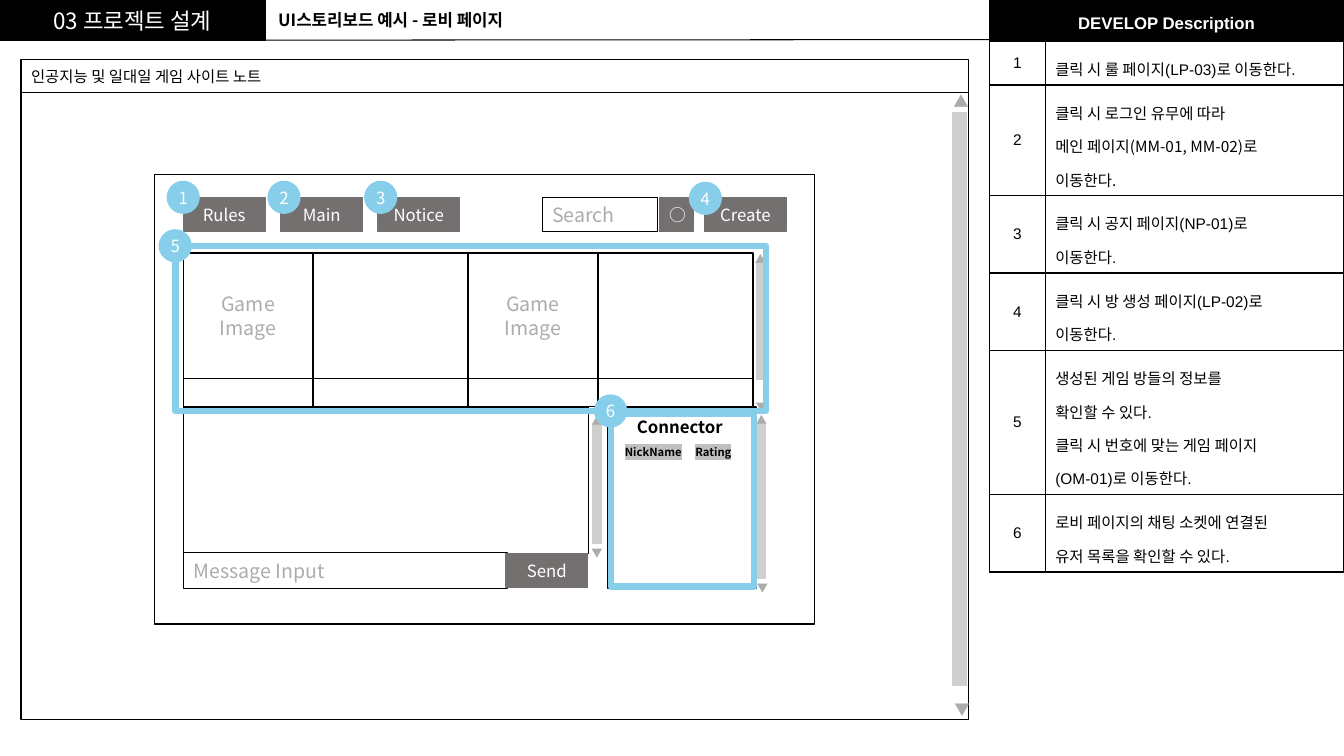
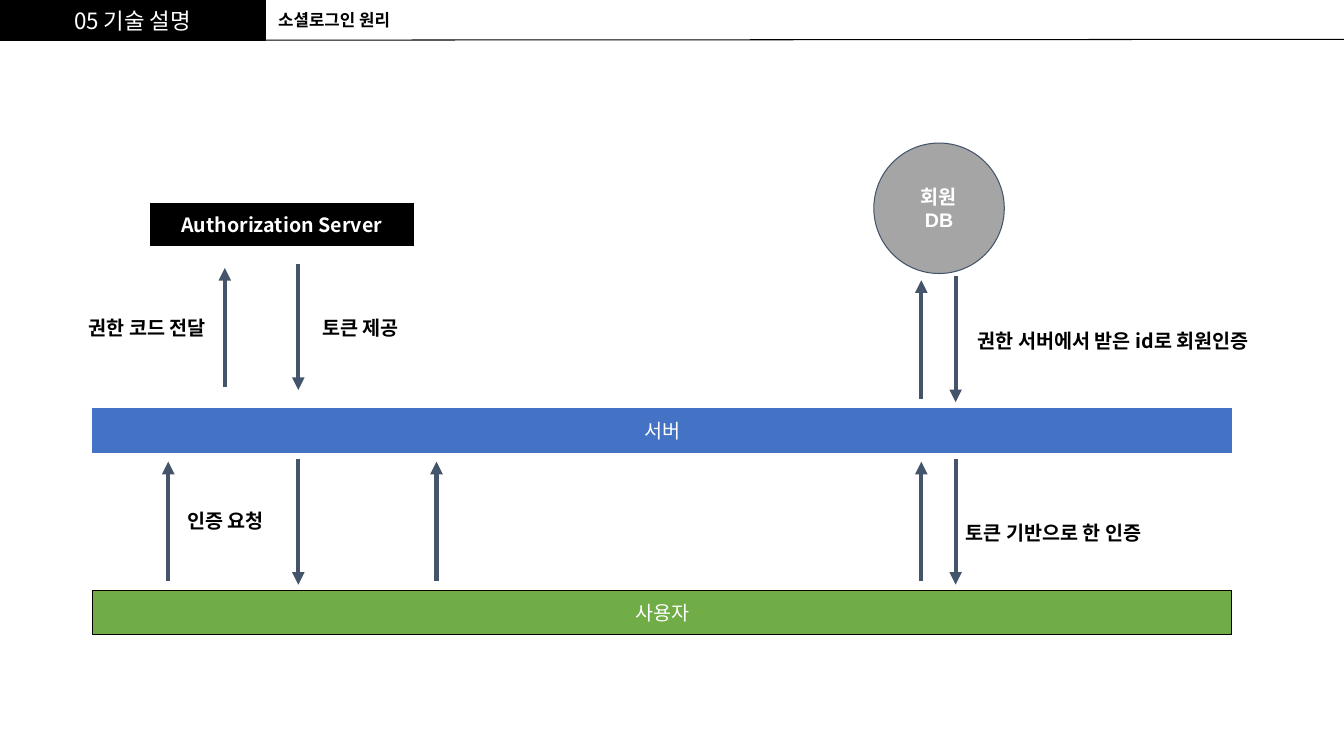
"""Build two slides: a lobby page storyboard and a social login flow."""
from dataclasses import dataclass
from typing import Any

from lxml import etree
from pptx import Presentation
from pptx.dml.color import RGBColor
from pptx.enum.shapes import MSO_CONNECTOR, MSO_SHAPE
from pptx.enum.text import MSO_ANCHOR, MSO_AUTO_SIZE, PP_ALIGN
from pptx.oxml.ns import qn
from pptx.util import Pt

RECT, OVAL, DOT = MSO_SHAPE.RECTANGLE, MSO_SHAPE.OVAL, MSO_SHAPE.FLOWCHART_CONNECTOR
LINE = MSO_CONNECTOR.STRAIGHT
LEFT, MID = PP_ALIGN.LEFT, PP_ALIGN.CENTER
TOP, CORE = MSO_ANCHOR.TOP, MSO_ANCHOR.MIDDLE
FIXED = MSO_AUTO_SIZE.NONE
NOTO, ARIAL = "Noto Sans CJK KR", "Arial"
COLORS = {
    "black": "000000", "white": "FFFFFF", "hint": "AEABAB", "track": "D0CECE",
    "button": "757070", "sky": "87CEEB", "mark": "C0C0C0", "green": "70AD47",
    "blue": "4472C4", "gray": "A5A5A5", "slate": "44546A",
}


@dataclass
class Style:
    size: float = 12
    color: str = "black"
    bold: bool = False
    align: Any = LEFT
    font: str = NOTO
    mark: str = ""
    space: float = 1.0


@dataclass
class Box:
    x: float
    y: float
    w: float
    h: float
    text: str = ""
    style: Style | None = None
    fill: str = "white"
    edge: str = "black"
    width: float = 1
    kind: Any = RECT
    pad: float = 7.2


@dataclass
class Label:
    x: float
    y: float
    w: float
    text: str
    style: Style
    pad: float = 3.6


@dataclass
class Scroll:
    x: float
    y: float
    w: float
    h: float
    size: float
    up: tuple[float, float]
    down: tuple[float, float]


@dataclass
class Arrow:
    x: float
    start: float
    end: float


@dataclass
class Row:
    lines: tuple[str, ...]
    font: str = ARIAL


HINT = Style(14, "hint")
IMAGE = Style(14, "hint", align=MID)
PRESS = Style(12, "white", align=MID)
HEAD = Style(16, "white", align=MID)
TITLE = Style(12, bold=True)
TAG = Style(8, bold=True, mark="mark")
NOTE = Style(14, bold=True)
BAND = Style(14, "white", align=MID)
STRONG = Style(14, "white", True, MID)
BADGE = 22.7

ROWS = (
    Row(("클릭 시 룰 페이지(LP-03)로 이동한다.",)),
    Row(("클릭 시 로그인 유무에 따라", "메인 페이지(MM-01, MM-02)로", "이동한다."), NOTO),
    Row(("클릭 시 공지 페이지(NP-01)로", "이동한다.")),
    Row(("클릭 시 방 생성 페이지(LP-02)로", "이동한다.")),
    Row(("생성된 게임 방들의 정보를", "확인할 수 있다.",
         "클릭 시 번호에 맞는 게임 페이지", "(OM-01)로 이동한다.")),
    Row(("로비 페이지의 채팅 소켓에 연결된", "유저 목록을 확인할 수 있다.")),
)


def paint(name: str) -> RGBColor:
    return RGBColor.from_string(COLORS[name])


def write(frame: Any, text: str, style: Style) -> None:
    for i, line in enumerate(text.split("\n")):
        para = frame.paragraphs[0] if i == 0 else frame.add_paragraph()
        para.alignment, para.line_spacing = style.align, style.space
        run = para.add_run()
        run.text = line
        font = run.font
        font.size, font.bold, font.name = Pt(style.size), style.bold, style.font
        font.color.rgb = paint(style.color)
        props = run._r.get_or_add_rPr()
        latin = props.find(qn("a:latin"))
        if style.mark:
            mark = etree.Element(qn("a:highlight"))
            etree.SubElement(mark, qn("a:srgbClr"), val=COLORS[style.mark])
            latin.addprevious(mark)
        latin.addnext(etree.Element(qn("a:ea"), typeface=NOTO))


def setup(frame: Any, pad: float, side: float, anchor: Any) -> None:
    frame.word_wrap, frame.auto_size = True, FIXED
    frame.vertical_anchor = anchor
    frame.margin_left = frame.margin_right = Pt(side)
    frame.margin_top = frame.margin_bottom = Pt(pad)


def draw(slide: Any, box: Box) -> None:
    shape = slide.shapes.add_shape(box.kind, Pt(box.x), Pt(box.y), Pt(box.w), Pt(box.h))
    shape.shadow.inherit = False
    if box.fill:
        shape.fill.solid()
        shape.fill.fore_color.rgb = paint(box.fill)
    else:
        shape.fill.background()
    shape.line.color.rgb = paint(box.edge)
    shape.line.width = Pt(box.width)
    if box.style:
        setup(shape.text_frame, min(box.pad, 3.6), box.pad, CORE)
        write(shape.text_frame, box.text, box.style)


def label(slide: Any, item: Label) -> None:
    high = item.style.size * 1.45 + 2 * item.pad
    frame = slide.shapes.add_textbox(Pt(item.x), Pt(item.y), Pt(item.w), Pt(high)).text_frame
    setup(frame, item.pad, 7.2, TOP)
    write(frame, item.text, item.style)


def scroll(slide: Any, bar: Scroll) -> None:
    draw(slide, Box(bar.x, bar.y, bar.w, bar.h, fill="track", edge="white"))
    tip = Style(bar.size, "hint")
    label(slide, Label(bar.x + bar.up[0], bar.y + bar.up[1], 21.6, "▲", tip))
    label(slide, Label(bar.x + bar.down[0], bar.y + bar.h + bar.down[1], 21.6, "▼", tip))


def link(slide: Any, x1: float, y1: float, x2: float, y2: float,
         color: str, width: float, tip: bool = False) -> None:
    line = slide.shapes.add_connector(LINE, Pt(x1), Pt(y1), Pt(x2), Pt(y2))
    line.line.color.rgb = paint(color)
    line.line.width = Pt(width)
    if tip:
        etree.SubElement(line.line._get_or_add_ln(), qn("a:tailEnd"), type="triangle")
    etree.SubElement(line.element.spPr, qn("a:effectLst"))


def start(deck: Any, part: str, name: str) -> Any:
    slide = deck.slides.add_slide(deck.slide_layouts[5])
    title = slide.shapes.title
    title.left, title.top, title.width, title.height = Pt(191.5), Pt(3.6), Pt(216), Pt(21.6)
    setup(title.text_frame, 3.6, 7.2, TOP)
    write(title.text_frame, name, TITLE)
    draw(slide, Box(0, 0, 189.4, 28.8, part, HEAD, "black"))
    link(slide, 0, 28.8, 960, 28.1, "black", 0.75)
    return slide


def fill(cell: Any, text: str, style: Style, color: str, anchor: Any) -> None:
    props = cell._tc.get_or_add_tcPr()
    for side in ("lnL", "lnR", "lnT", "lnB"):
        edge = etree.SubElement(props, qn(f"a:{side}"), w=str(Pt(1)))
        ink = etree.SubElement(edge, qn("a:solidFill"))
        etree.SubElement(ink, qn("a:srgbClr"), val=COLORS["black"])
    cell.fill.solid()
    cell.fill.fore_color.rgb = paint(color)
    cell.vertical_anchor = anchor
    cell.margin_left = cell.margin_right = Pt(7.2)
    cell.margin_top = cell.margin_bottom = Pt(3.6)
    if text:
        write(cell.text_frame, text, style)


def guide(slide: Any) -> None:
    highs = [29.5] + [24 * len(row.lines) + 7.2 for row in ROWS]
    table = slide.shapes.add_table(len(highs), 2, Pt(707), Pt(0), Pt(252.7), Pt(sum(highs))).table
    table.horz_banding = False
    for col, wide in zip(table.columns, (39.6, 213.1)):
        col.width = Pt(wide)
    for row, high in zip(table.rows, highs):
        row.height = Pt(high)
    head = Style(12, "white", True, MID, ARIAL, space=1.5)
    fill(table.cell(0, 0), "DEVELOP Description", head, "black", TOP)
    fill(table.cell(0, 1), "", head, "black", TOP)
    table.cell(0, 0).merge(table.cell(0, 1))
    for i, row in enumerate(ROWS, 1):
        fill(table.cell(i, 0), str(i), Style(11, align=MID, font=ARIAL), "white", CORE)
        body = Style(11, font=row.font, space=1.5)
        fill(table.cell(i, 1), "\n".join(row.lines), body, "white", TOP)


def lobby(deck: Any) -> None:
    slide = start(deck, "03 프로젝트 설계", "UI스토리보드 예시 - 로비 페이지")
    boxes = [Box(15.1, 65.5, 676.8, 448.6), Box(110.2, 124.6, 471.6, 321.1)]
    for x in (131, 334.4):
        for y, high, text in ((180.7, 89.5, "Game\nImage"), (270.2, 20.4, "")):
            boxes += [Box(x, y, 92.6, high, text, IMAGE if text else None),
                      Box(x + 92.6, y, 110.8, high)]
    boxes += [
        Box(131, 290.8, 289.4, 104.4),
        Box(434.2, 290.8, 105.8, 129.6),
        Box(15.1, 42.5, 676.8, 23.8, "인공지능 및 일대일 게임 사이트 노트", Style(11)),
        Box(131, 394.6, 231.1, 25.9, "Message Input", HINT),
        Box(387.4, 141.1, 82.1, 24.5, "Search", HINT),
    ]
    for x, y, wide, text in ((131, 141.1, 58.3, "Rules"), (200.7, 141.1, 58.3, "Main"),
                             (270, 141.1, 58.3, "Notice"), (503.3, 141.1, 58.3, "Create"),
                             (470.9, 141.1, 24.5, "○"), (361.4, 395.3, 58.3, "Send")):
        boxes.append(Box(x, y, wide, 24.5, text, PRESS, "button", "button"))
    for box in boxes:
        draw(slide, box)

    for bar in (Scroll(679.7, 79.2, 11.5, 411.1, 11, (-5.8, -17.3), (-5, 6.5)),
                Scroll(539.3, 186.5, 7.9, 85.7, 8, (-7.2, -10.1), (-6.5, 10.1)),
                Scroll(422.6, 303.1, 7.9, 85.7, 8, (-7.2, -10.8), (-7.2, -2.2)),
                Scroll(540, 302.4, 7.9, 111.6, 8, (-7.2, -10.8), (-6.5, -2.2))):
        scroll(slide, bar)
    for item in (Label(447.8, 293.8, 77.8, "Connector", TITLE),
                 Label(439.2, 314.6, 77.8, "NickName", TAG),
                 Label(489.6, 314.6, 77.8, "Rating", TAG)):
        label(slide, item)
    for x, y, wide, high in ((125.3, 175.7, 421.9, 118.1), (436.3, 295.9, 102.2, 123.1)):
        draw(slide, Box(x, y, wide, high, fill="", edge="sky", width=4.5))
    spots = ((119.5, 129.6), (191.5, 129.6), (260.6, 129.6),
             (492.5, 130.3), (113.8, 164.2), (424.8, 282.2))
    for i, (x, y) in enumerate(spots, 1):
        draw(slide, Box(x, y, BADGE, BADGE, str(i), PRESS, "sky", "sky", kind=DOT, pad=0))
    guide(slide)


def login(deck: Any) -> None:
    slide = start(deck, "05 기술 설명", "소셜로그인 원리")
    for box in (
        Box(106.6, 144.7, 189.4, 31.7, "Authorization Server", STRONG, "black", "white", 0.75),
        Box(66.2, 421.9, 813.6, 31.7, "사용자", BAND, "green", "black", 0.75),
        Box(66.2, 291.6, 813.6, 31.7, "서버", BAND, "blue", "blue", 0.75),
        Box(624.2, 102.2, 93.2, 93.2, "회원\nDB", Style(14, "white", True, MID, ARIAL),
            "gray", "slate", 0.75, OVAL),
    ):
        draw(slide, box)
    flows = [Arrow(x, 414.7, 329.8) for x in (120.2, 311.8, 658.1)]
    flows += [Arrow(x, 327.6, 417.6) for x in (213.1, 682.6)]
    flows += [Arrow(160.6, 276.5, 191.5), Arrow(213.1, 188.6, 278.6),
              Arrow(658.1, 285.1, 200.2), Arrow(682.6, 197.3, 287.3)]
    for flow in flows:
        link(slide, flow.x, flow.start, flow.x, flow.end, "slate", 3, True)
    for x, y, wide, text in ((56.2, 218.2, 127.4, "권한 코드 전달"),
                             (691.2, 227.5, 241.2, "권한 서버에서 받은 id로 회원인증"),
                             (682.6, 365, 196.6, "토큰 기반으로 한 인증"),
                             (126.7, 356.4, 127.4, "인증 요청"),
                             (223.2, 218.2, 127.4, "토큰 제공")):
        label(slide, Label(x, y, wide, text, NOTE, 7.2))


def main() -> None:
    deck = Presentation()
    deck.slide_width, deck.slide_height = Pt(960), Pt(540)
    lobby(deck)
    login(deck)
    deck.save("out.pptx")


if __name__ == "__main__":
    main()
